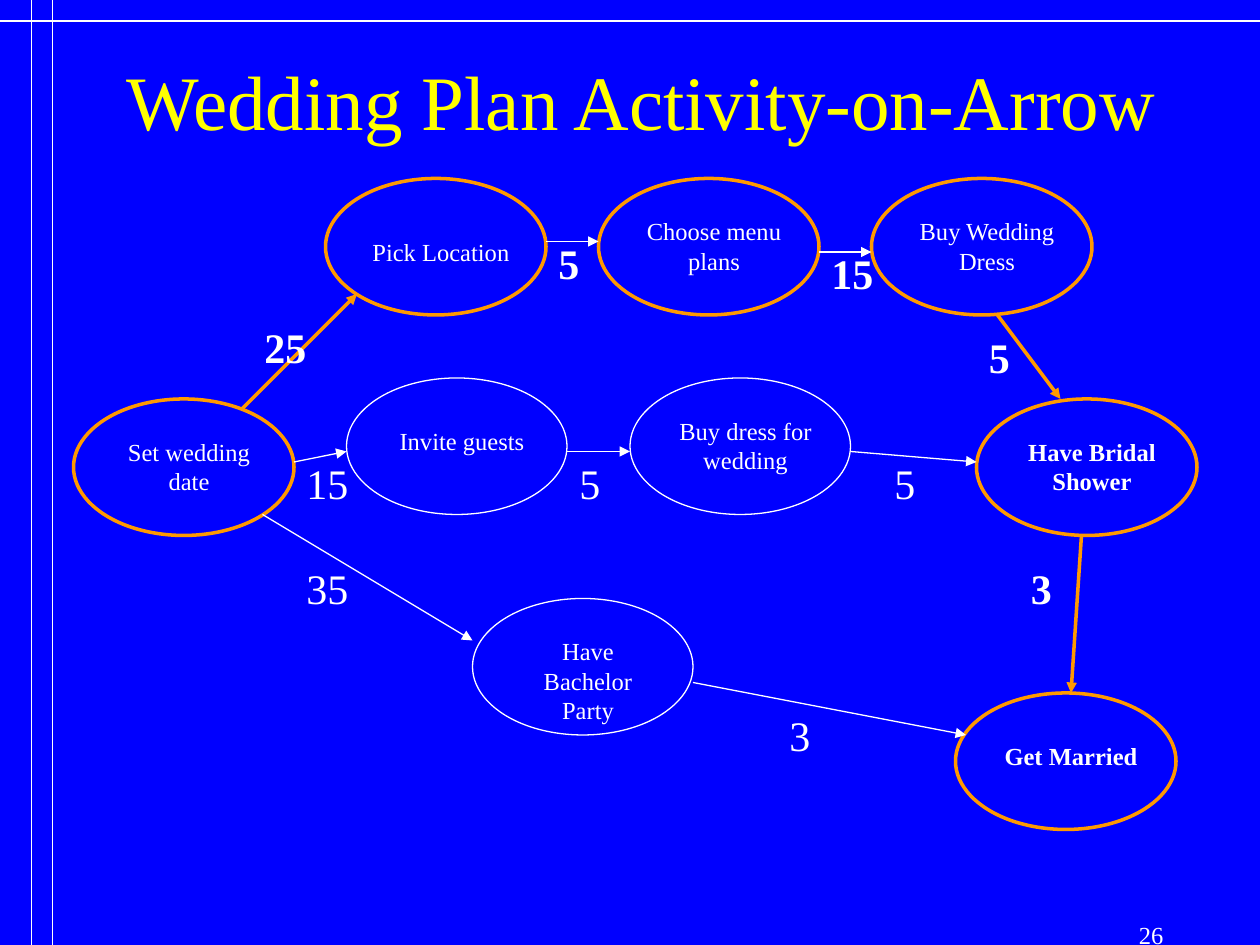
"""Build the wedding plan activity-on-arrow network slide."""
from lxml.etree import SubElement
from pptx import Presentation
from pptx.dml.color import RGBColor
from pptx.enum.shapes import MSO_CONNECTOR, MSO_SHAPE
from pptx.enum.text import MSO_ANCHOR, MSO_AUTO_SIZE, PP_ALIGN
from pptx.oxml.ns import qn
from pptx.util import Inches, Pt


class Theme:
    font = "Times New Roman"
    background = RGBColor(0x00, 0x00, 0xFF)
    title = RGBColor(0xFF, 0xFF, 0x00)
    plain = RGBColor(0xFF, 0xFF, 0xFF)
    critical = RGBColor(0xFF, 0x99, 0x00)
    title_size, duration_size, event_size = Pt(44), Pt(24), Pt(14)
    plain_line, critical_line = Pt(0.75), Pt(2)


deck = Presentation()
deck.slide_width, deck.slide_height = Inches(10), Inches(7.5)
page = deck.slides.add_slide(deck.slide_layouts[6])
page.background.fill.solid()
page.background.fill.fore_color.rgb = Theme.background

COLUMNS, ROWS = 120, 90
COLUMN, ROW = deck.slide_width // COLUMNS, deck.slide_height // ROWS


def add_text(text, column, row, columns, rows, size, align=PP_ALIGN.LEFT,
             bold=False, color=Theme.plain, grow=True):
    box = page.shapes.add_textbox(
        column * COLUMN, row * ROW, columns * COLUMN, int(rows * ROW))
    frame = box.text_frame
    frame.word_wrap = True
    frame.auto_size = MSO_AUTO_SIZE.SHAPE_TO_FIT_TEXT if grow else MSO_AUTO_SIZE.NONE
    para = frame.paragraphs[0]
    para.text, para.alignment = text, align
    para.font.name, para.font.size = Theme.font, size
    para.font.bold, para.font.color.rgb = bold, color
    return frame


def add_line(start, end, critical=False, arrow=True):
    line = page.shapes.add_connector(
        MSO_CONNECTOR.STRAIGHT, start[0] * COLUMN, start[1] * ROW,
        end[0] * COLUMN, end[1] * ROW)
    line.line.color.rgb = Theme.critical if critical else Theme.plain
    line.line.width = Theme.critical_line if critical else Theme.plain_line
    if arrow:
        SubElement(line.line._get_or_add_ln(), qn("a:tailEnd"), type="triangle")
    SubElement(line._element.spPr, qn("a:effectLst"))


for start, end in [((5, 0), (5, ROWS)), ((3, 0), (3, ROWS)), ((0, 2), (COLUMNS, 2))]:
    add_line(start, end, arrow=False)

title = add_text("Wedding Plan Activity-on-Arrow ", 10, 2, 104, 15, Theme.title_size,
                 PP_ALIGN.CENTER, color=Theme.title, grow=False)
title.vertical_anchor = MSO_ANCHOR.MIDDLE

EVENT_COLUMNS, EVENT_ROWS = 21, 13
events = [
    ("Get Married", 91, 66, 4, 1, True, True),
    ("Choose menu plans", 57, 17, 3, 2, True, False),
    ("Have Bachelor Party", 45, 57, 3, 3, False, False),
    ("Pick Location", 31, 17, 5, 1, True, False),
    ("Invite guests", 33, 36, 4, 1, False, False),
    ("Set wedding date", 7, 38, 3, 2, True, False),
    ("Buy dress for wedding", 60, 36, 3, 2, False, False),
    ("Buy Wedding Dress", 83, 17, 3, 2, True, False),
    ("Have Bridal Shower", 93, 38, 3, 2, True, True),
]
for name, column, row, drop, lines, critical, bold in events:
    event = page.shapes.add_shape(
        MSO_SHAPE.OVAL, column * COLUMN, row * ROW,
        EVENT_COLUMNS * COLUMN, EVENT_ROWS * ROW)
    event.shadow.inherit = False
    event.fill.background()
    event.line.color.rgb = Theme.critical if critical else Theme.plain
    event.line.width = Theme.critical_line if critical else Theme.plain_line
    add_text(name, column + 3, row + drop, 16, 1.2 + 2.8 * lines,
             Theme.event_size, PP_ALIGN.CENTER, bold)

activities = [
    ((25, 49), (45, 61), False, "35", (28, 53, 8), False),
    ((28, 44), (33, 43), False, "15", (28, 43, 8), False),
    ((54, 43), (60, 43), False, "5", (54, 43, 6), False),
    ((81, 43), (93, 44), False, "5", (84, 43, 6), False),
    ((23, 39), (34, 28), True, "25", (24, 30, 8), True),
    ((52, 23), (57, 23), False, "5", (52, 22, 6), True),
    ((78, 24), (83, 24), False, "15", (78, 23, 9), True),
    ((95, 30), (101, 38), True, "5", (93, 31, 6), True),
    ((66, 65), (92, 70), False, "3", (74, 67, 6), False),
    ((103, 51), (102, 66), True, "3", (97, 53, 6), True),
]
for start, end, critical, duration, place, bold in activities:
    add_line(start, end, critical)
    add_text(duration, *place, 6, Theme.duration_size, bold=bold)

add_text("26", 95, 87, 17, 3, Theme.event_size, PP_ALIGN.RIGHT, grow=False)

deck.save("out.pptx")
